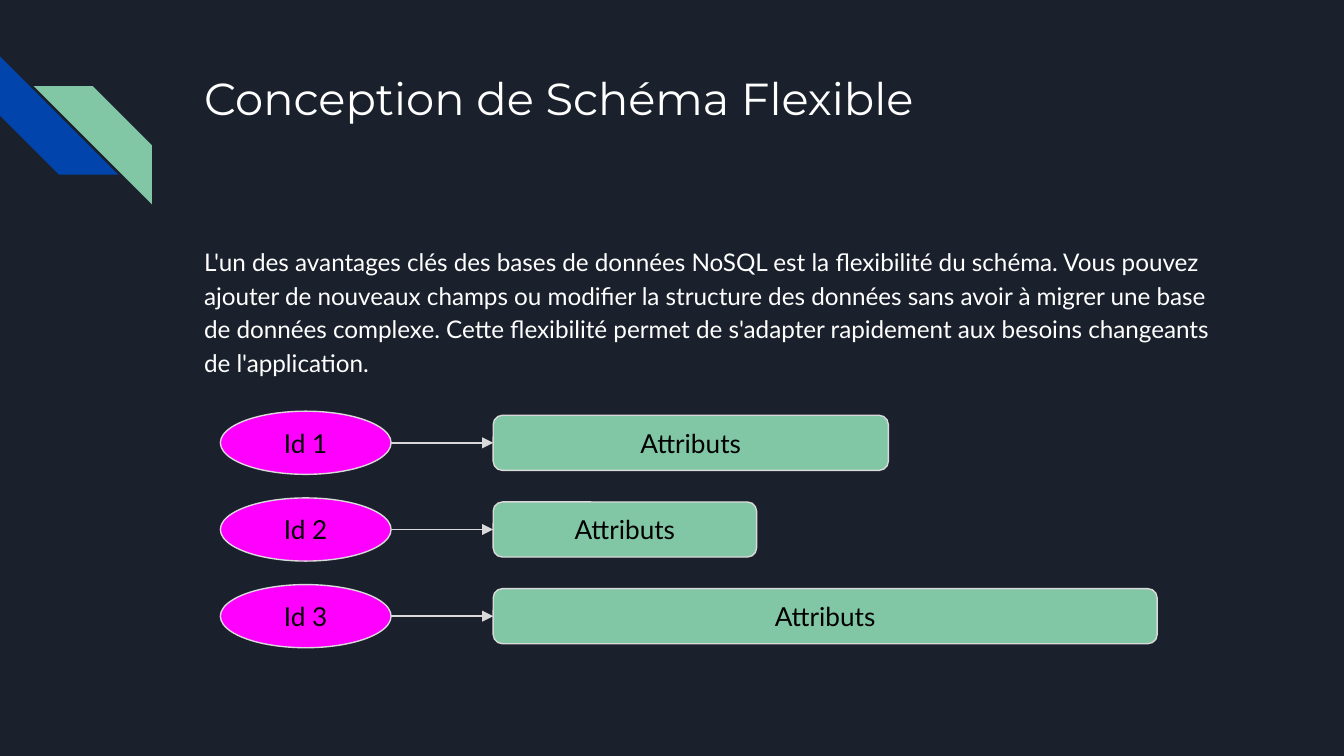
"""Build a slide on flexible schemas, with ids linked to attribute bars."""
import lxml.etree
import pptx
import pptx.dml.color
import pptx.enum.shapes
import pptx.enum.text
import pptx.oxml.ns
import pptx.util

TITLE = "Conception de Schéma Flexible"
BODY = (
    "L'un des avantages clés des bases de données NoSQL est la flexibilité du schéma. "
    "Vous pouvez ajouter de nouveaux champs ou modifier la structure des données sans "
    "avoir à migrer une base de données complexe. Cette flexibilité permet de s'adapter "
    "rapidement aux besoins changeants de l'application."
)
RECORDS = [("Id 1", "Attributs", 2.94), ("Id 2", "Attributs", 1.96), ("Id 3", "Attributs", 4.94)]
COLOURS = {
    "background": "1B212C", "blue": "0145AC", "green": "82C7A5", "magenta": "FF00FF",
    "line": "D9D9D9", "white": "FFFFFF", "black": "000000",
}
SLIDE_WIDTH = 10
SLIDE_HEIGHT = SLIDE_WIDTH * 9 / 16
STRIPES = [(0, 0.42, 270, "blue"), (0.25, 0.64, 90, "green")]
STRIPE_SIZE = 0.88
TEXT_LEFT, TEXT_WIDTH = 1.42, 7.7
ID_LEFT, ID_WIDTH, ID_HEIGHT = 1.64, 1.27, 0.47
BAR_LEFT, BAR_HEIGHT = 3.67, 0.41
FIRST_TOP, LAST_TOP = 3.06, 4.35
ROW_STEP = (LAST_TOP - FIRST_TOP) / (len(RECORDS) - 1)
SHAPES = pptx.enum.shapes.MSO_SHAPE
ALIGN = pptx.enum.text.PP_ALIGN
ANCHOR = pptx.enum.text.MSO_ANCHOR


def colour(name):
    return pptx.dml.color.RGBColor.from_string(COLOURS[name])


def inches(*lengths):
    return [pptx.util.Inches(length) for length in lengths]


def write_text(shape, text, *, size, font="Lato", color="white", align=ALIGN.LEFT,
               anchor=ANCHOR.TOP, line_spacing=1.0, space_after=0):
    frame = shape.text_frame
    frame.word_wrap = True
    frame.vertical_anchor = anchor
    frame.margin_left = frame.margin_right = pptx.util.Inches(0.1)
    frame.margin_top = frame.margin_bottom = pptx.util.Inches(0.1)
    paragraph = frame.paragraphs[0]
    paragraph.alignment = align
    paragraph.line_spacing = line_spacing
    paragraph.space_after = pptx.util.Pt(space_after)
    run = paragraph.add_run()
    run.text = text
    run.font.name = font
    run.font.size = pptx.util.Pt(size)
    run.font.color.rgb = colour(color)


def add_filled(slide, kind, box, fill, outlined=True):
    shape = slide.shapes.add_shape(kind, *inches(*box))
    shape.shadow.inherit = False
    shape.fill.solid()
    shape.fill.fore_color.rgb = colour(fill)
    if outlined:
        shape.line.color.rgb = colour("line")
        shape.line.width = pptx.util.Pt(0.75)
    else:
        shape.line.fill.background()
    return shape


def add_arrow(slide, start, end, middle):
    straight = pptx.enum.shapes.MSO_CONNECTOR.STRAIGHT
    arrow = slide.shapes.add_connector(straight, *inches(start, middle, end, middle))
    arrow.line.color.rgb = colour("line")
    arrow.line.width = pptx.util.Pt(0.75)
    name = pptx.oxml.ns.qn
    lxml.etree.SubElement(arrow.line._get_or_add_ln(), name("a:tailEnd"), type="triangle")
    lxml.etree.SubElement(arrow._element.spPr, name("a:effectLst"))


def add_record(slide, row, identifier, attributes, width):
    top = FIRST_TOP + row * ROW_STEP
    middle = top + ID_HEIGHT / 2
    id_box = (ID_LEFT, top, ID_WIDTH, ID_HEIGHT)
    bar_box = (BAR_LEFT, middle - BAR_HEIGHT / 2, width, BAR_HEIGHT)
    ellipse = add_filled(slide, SHAPES.OVAL, id_box, "magenta")
    bar = add_filled(slide, SHAPES.ROUNDED_RECTANGLE, bar_box, "green")
    for shape, text in ((ellipse, identifier), (bar, attributes)):
        write_text(shape, text, size=14, color="black", align=ALIGN.CENTER, anchor=ANCHOR.MIDDLE)
    add_arrow(slide, ID_LEFT + ID_WIDTH, BAR_LEFT, middle)


def main():
    presentation = pptx.Presentation()
    presentation.slide_width, presentation.slide_height = inches(SLIDE_WIDTH, SLIDE_HEIGHT)
    slide = presentation.slides.add_slide(presentation.slide_layouts[6])
    slide.background.fill.solid()
    slide.background.fill.fore_color.rgb = colour("background")
    for left, top, rotation, fill in STRIPES:
        box = (left, top, STRIPE_SIZE, STRIPE_SIZE)
        stripe = add_filled(slide, SHAPES.DIAGONAL_STRIPE, box, fill, outlined=False)
        stripe.rotation = rotation
    title = slide.shapes.add_textbox(*inches(TEXT_LEFT, 0.43, TEXT_WIDTH, 1))
    write_text(title, TITLE, size=24, font="Montserrat")
    body = slide.shapes.add_textbox(*inches(TEXT_LEFT, 1.71, TEXT_WIDTH, 1.34))
    write_text(body, BODY, size=13, line_spacing=1.15, space_after=12)
    for row, record in enumerate(RECORDS):
        add_record(slide, row, *record)
    presentation.save("out.pptx")


if __name__ == "__main__":
    main()
